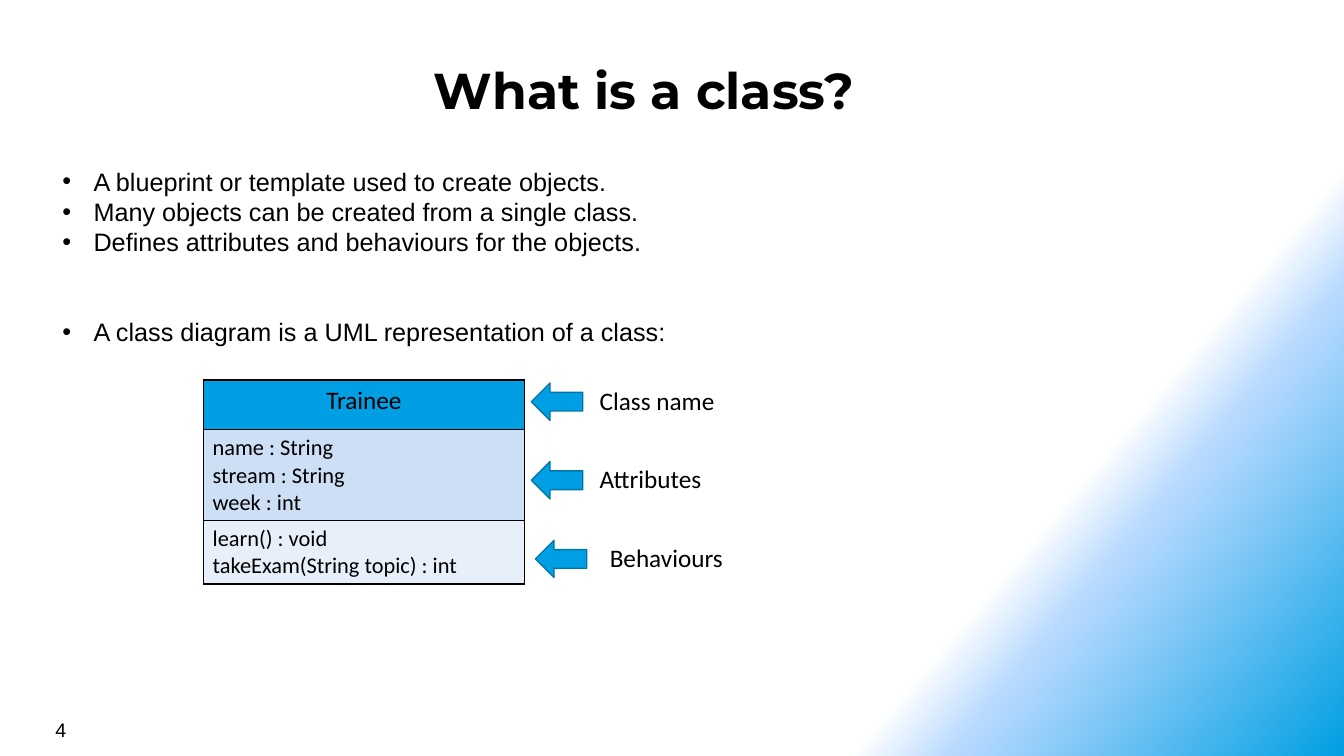
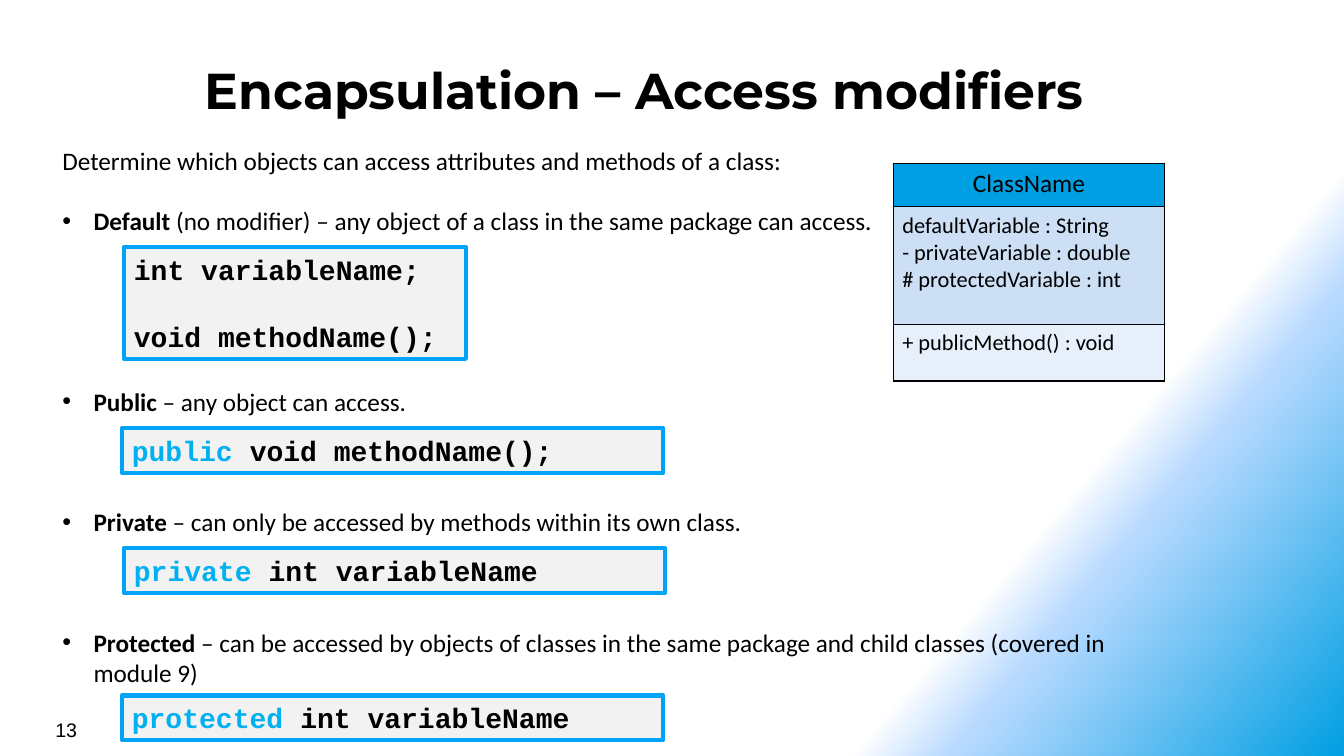
import pptx
import pptx.util
import pptx.dml.color
import pptx.enum.shapes
import pptx.enum.text
import pptx.oxml
import pptx.oxml.ns
from dataclasses import dataclass

Inches = pptx.util.Inches
Pt = pptx.util.Pt
ALIGN = pptx.enum.text.PP_ALIGN
ANCHOR = pptx.enum.text.MSO_ANCHOR
SHAPES = pptx.enum.shapes.MSO_SHAPE


@dataclass(frozen=True)
class Style:
    font: str
    size: int
    color: str = "000000"
    bold: bool = False
    align: object = ALIGN.LEFT
    line_height: float = 0


class Theme:
    accent = "009FE3"
    arrow_line = "0076A8"
    code_fill, code_line = "F2F2F2", "00A4F6"
    keyword = "00B0F0"
    black = "000000"
    table_fills = (accent, "CCDFF4", "E7F0FA")
    backdrop = ((75, "FFFFFF", 100), (80, "B9DAFF", 50), (100, accent, 100))
    backdrop_angle = 40
    title = Style("Montserrat", 36, bold=True, align=ALIGN.CENTER)
    number = Style("Arial", 14)
    points = Style("Arial", 18, line_height=21.5)
    body = Style("Calibri", 18)
    table_head = Style("Calibri", 18, align=ALIGN.CENTER)
    table_body = Style("Calibri", 16)
    code = Style("Courier New", 20, bold=True, line_height=24)
    text_step = 21.5
    indent = 0.31


CLASS_SLIDE = {
    "title": "What is a class?",
    "number": "4",
    "points": [
        (0, True, [("A blueprint or template used to create objects.", {})]),
        (0, True, [("Many objects can be created from a single class.", {})]),
        (0, True, [("Defines attributes and behaviours for the objects.", {})]),
        (2, True, [("A class diagram is a UML representation of a class:", {})]),
    ],
    "diagram": [
        ["Trainee"],
        ["name : String", "stream : String", "week : int"],
        ["learn() : void", "takeExam(String topic) : int"],
    ],
    "labels": [
        ("Class name", 5.27, 5.85),
        ("Attributes", 5.27, 5.85),
        ("Behaviours", 5.31, 5.95),
    ],
}

STRONG = {"bold": True}
KEYWORD = {"color": Theme.keyword}
ACCESS_SLIDE = {
    "title": "Encapsulation – Access modifiers",
    "number": "13",
    "points": [
        (0, False, [("Determine which objects can access attributes and methods of a class:", {})]),
        (1, True, [("Default", STRONG),
                   (" (no modifier) – any object of a class in the same package can access.", {})]),
        (5, True, [("Public", STRONG), (" – any object can access.", {})]),
        (3, True, [("Private", STRONG),
                   (" – can only be accessed by methods within its own class.", {})]),
        (3, True, [("Protected", STRONG),
                   (" – can be accessed by objects of classes in the same package"
                    " and child classes (covered in module 9)", {})]),
    ],
    "diagram": [
        ["ClassName"],
        ["defaultVariable : String", "- privateVariable : double", "# protectedVariable : int"],
        ["+ publicMethod() : void"],
    ],
    "code": [
        ((1.23, 2.45, 3.39, 1.11), [(0, False, [("int variableName;", {})]),
                                    (1, False, [("void methodName();", {})])]),
        ((1.21, 4.25, 5.37, 0.44), [(0, False, [("public ", KEYWORD), ("void methodName();", {})])]),
        ((1.23, 5.44, 5.37, 0.44), [(0, False, [("private ", KEYWORD), ("int variableName", {})])]),
        ((1.21, 6.9, 5.37, 0.44), [(0, False, [("protected ", KEYWORD), ("int variableName", {})])]),
    ],
}


def rgb(color):
    return pptx.dml.color.RGBColor.from_string(color)


def box(*lengths):
    return [Inches(length) for length in lengths]


def plain(lines):
    return [(0, False, [(line, {})]) for line in lines]


def xml_child(parent, tag, **attributes):
    element = pptx.oxml.xmlchemy.OxmlElement(tag)
    for name, value in attributes.items():
        element.set(name, str(value))
    parent.append(element)
    return element


def write(text_frame, paragraphs, style):
    text_frame.word_wrap = True
    step = style.line_height or Theme.text_step
    for index, (gap, bulleted, runs) in enumerate(paragraphs):
        paragraph = text_frame.paragraphs[0] if index == 0 else text_frame.add_paragraph()
        paragraph.alignment = style.align
        paragraph.space_before = Pt(gap * step)
        if style.line_height:
            paragraph.line_spacing = Pt(style.line_height)
        if bulleted:
            properties = paragraph._p.get_or_add_pPr()
            properties.set("marL", str(Inches(Theme.indent)))
            properties.set("indent", str(-Inches(Theme.indent)))
            xml_child(properties, "a:buFont", typeface="Arial")
            xml_child(properties, "a:buChar", char="•")
        for text, changes in runs:
            run = paragraph.add_run()
            run.text = text
            run.font.name = style.font
            run.font.size = Pt(style.size)
            run.font.bold = changes.get("bold", style.bold)
            run.font.color.rgb = rgb(changes.get("color", style.color))


def add_text(slide, frame, paragraphs, style, inset=None):
    text_frame = slide.shapes.add_textbox(*box(*frame)).text_frame
    if inset:
        text_frame.margin_left = text_frame.margin_right = Inches(inset)
        text_frame.margin_top = text_frame.margin_bottom = Inches(inset)
    write(text_frame, paragraphs, style)


def add_block(slide, kind, frame, fill, line, width):
    shape = slide.shapes.add_shape(kind, *box(*frame))
    shape.shadow.inherit = False
    shape.fill.solid()
    shape.fill.fore_color.rgb = rgb(fill)
    shape.line.color.rgb = rgb(line)
    shape.line.width = Pt(width)
    return shape


def add_code(slide, frame, paragraphs):
    shape = add_block(slide, SHAPES.RECTANGLE, frame, Theme.code_fill, Theme.code_line, 3)
    shape.text_frame.vertical_anchor = ANCHOR.MIDDLE
    write(shape.text_frame, paragraphs, Theme.code)


def add_borders(cell):
    properties = cell._tc.get_or_add_tcPr()
    for position, side in enumerate(("L", "R", "T", "B")):
        line = xml_child(properties, "a:ln" + side, w=Pt(1))
        xml_child(xml_child(line, "a:solidFill"), "a:srgbClr", val=Theme.black)
        properties.insert(position, line)


def add_class_diagram(slide, left, top, width, heights, sections):
    frame = box(left, top, width, sum(heights))
    table = slide.shapes.add_table(len(sections), 1, *frame).table
    table.first_row = table.horz_banding = False
    for index, lines in enumerate(sections):
        table.rows[index].height = Inches(heights[index])
        cell = table.cell(index, 0)
        cell.margin_left = cell.margin_right = Inches(0.09)
        cell.margin_top = cell.margin_bottom = Inches(0.05)
        cell.fill.solid()
        cell.fill.fore_color.rgb = rgb(Theme.table_fills[index])
        add_borders(cell)
        write(cell.text_frame, plain(lines), Theme.table_body if index else Theme.table_head)


def paint_backdrop(master):
    fill = master.background.fill
    fill.gradient()
    fill.gradient_angle = 360 - Theme.backdrop_angle
    stops = master._element.find(".//" + pptx.oxml.ns.qn("a:gsLst"))
    for stop in list(stops):
        stops.remove(stop)
    for position, color, opacity in Theme.backdrop:
        stop = xml_child(stops, "a:gs", pos=position * 1000)
        swatch = xml_child(stop, "a:srgbClr", val=color)
        if opacity < 100:
            xml_child(swatch, "a:alpha", val=opacity * 1000)


def start_slide(presentation, content):
    slide = presentation.slides.add_slide(presentation.slide_layouts[6])
    add_text(slide, (0.26, 0.51, 12.26, 0.55), plain([content["title"]]), Theme.title, 0.08)
    add_text(slide, (0.45, 7.07, 3.11, 0.33), plain([content["number"]]), Theme.number)
    return slide


def build_class_slide(presentation):
    slide = start_slide(presentation, CLASS_SLIDE)
    add_text(slide, (0.52, 1.6, 10, 1.92), CLASS_SLIDE["points"], Theme.points)
    add_class_diagram(slide, 2.02, 3.77, 3.18, (0.49, 0.9, 0.63), CLASS_SLIDE["diagram"])
    for index, (label, arrow_left, label_left) in enumerate(CLASS_SLIDE["labels"]):
        top = 3.8 + 0.78 * index
        add_block(slide, SHAPES.LEFT_ARROW, (arrow_left, top, 0.51, 0.37),
                  Theme.accent, Theme.arrow_line, 1)
        add_text(slide, (label_left, top - 0.03, 1.8, 0.4), plain([label]), Theme.body)


def build_access_slide(presentation):
    slide = start_slide(presentation, ACCESS_SLIDE)
    add_text(slide, (0.52, 1.39, 11.02, 6.16), ACCESS_SLIDE["points"], Theme.body)
    for frame, paragraphs in ACCESS_SLIDE["code"]:
        add_code(slide, frame, paragraphs)
    add_class_diagram(slide, 8.86, 1.62, 2.69, (0.43, 1.17, 0.56), ACCESS_SLIDE["diagram"])


presentation = pptx.Presentation()
presentation.slide_width, presentation.slide_height = box(13.33, 7.5)
paint_backdrop(presentation.slide_master)
build_class_slide(presentation)
build_access_slide(presentation)
presentation.save("out.pptx")
